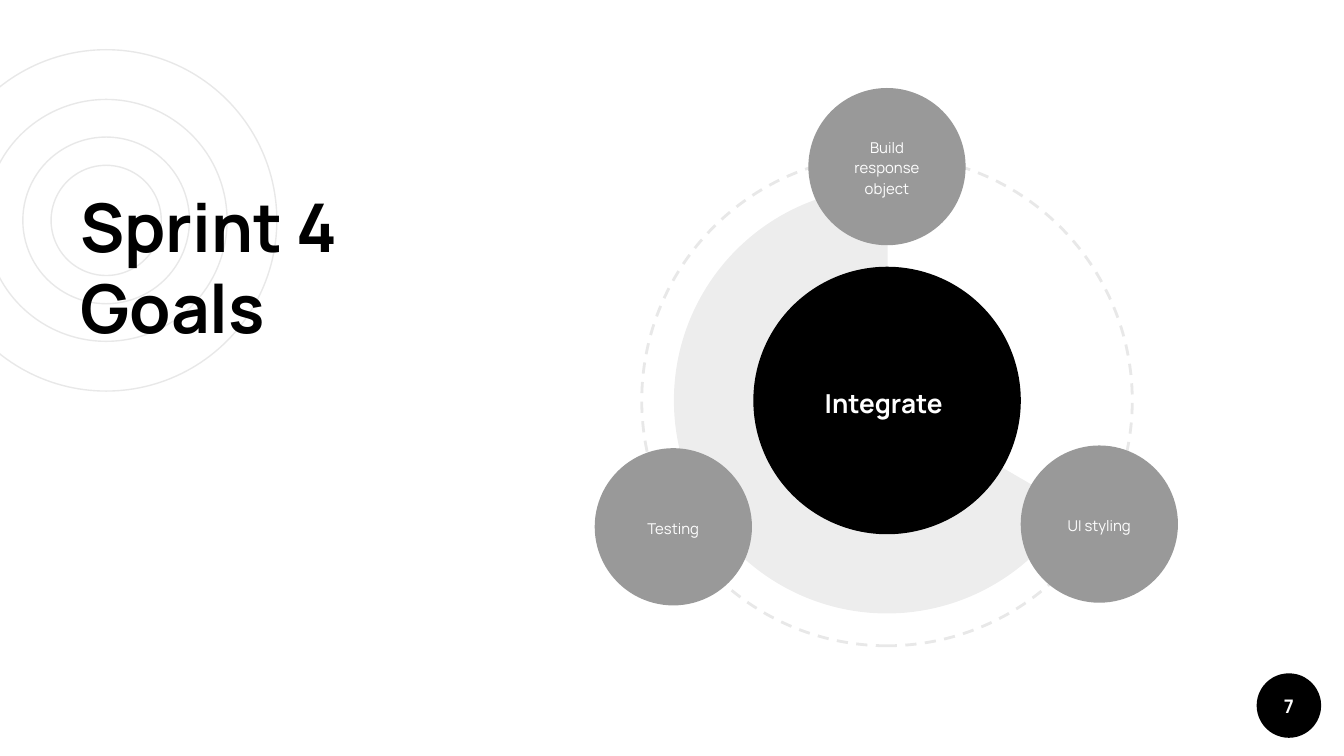
from lxml import etree
from pptx import Presentation
from pptx.dml.color import RGBColor
from pptx.enum.dml import MSO_LINE
from pptx.enum.shapes import MSO_SHAPE
from pptx.enum.text import MSO_ANCHOR, PP_ALIGN
from pptx.oxml.ns import qn
from pptx.util import Inches, Pt

BLACK = RGBColor(0x00, 0x00, 0x00)
WHITE = RGBColor(0xFF, 0xFF, 0xFF)
GRAY = RGBColor(0x99, 0x99, 0x99)
LIGHT = RGBColor(0xE8, 0xE8, 0xE8)

prs = Presentation()
prs.slide_width = Inches(10)
prs.slide_height = Inches(10 * 9 / 16)
s = prs.slides.add_slide(prs.slide_layouts[6])


def add_round(cx, cy, size, fill=None, line_width=None, kind=MSO_SHAPE.OVAL):
    """Add a round shape by its centre and diameter, in inches."""
    sp = s.shapes.add_shape(kind, Inches(cx - size / 2), Inches(cy - size / 2),
                            Inches(size), Inches(size))
    sp.shadow.inherit = False
    if fill is None:
        sp.fill.background()
    else:
        sp.fill.solid()
        sp.fill.fore_color.rgb = fill
    if line_width is None:
        sp.line.fill.background()
    else:
        sp.line.color.rgb = LIGHT
        sp.line.width = Pt(line_width)
    return sp


def add_text(text, left, top, width, height, size, color=WHITE, bold=False,
             align=PP_ALIGN.CENTER, anchor=MSO_ANCHOR.MIDDLE, spacing=1.0):
    tf = s.shapes.add_textbox(Inches(left), Inches(top), Inches(width),
                              Inches(height)).text_frame
    tf.word_wrap = True
    tf.vertical_anchor = anchor
    tf.margin_left = tf.margin_right = Inches(0.1)
    tf.margin_top = tf.margin_bottom = Inches(0.1)
    p = tf.paragraphs[0]
    p.alignment = align
    p.line_spacing = spacing
    r = p.add_run()
    r.text = text
    r.font.name = "Manrope"
    r.font.size = Pt(size)
    r.font.bold = bold
    r.font.color.rgb = color


# Concentric rings behind the title
for size in (2.54, 1.8, 1.24, 0.82):
    add_round(0.79, 1.64, size, line_width=0.75)

add_text("Sprint 4 Goals", 0.5, 1.28, 3.28, 3.22, 36, BLACK, True,
         PP_ALIGN.LEFT, MSO_ANCHOR.TOP)

# Page number
add_round(9.59, 5.25, 0.48, BLACK)
add_text("7", 9.35, 5.01, 0.48, 0.48, 10, bold=True)

# Dashed orbit and translucent sector around the hub
HUB_X, HUB_Y = 6.6, 2.98
orbit = add_round(HUB_X, HUB_Y, 3.65, line_width=1.5)
orbit.line.dash_style = MSO_LINE.DASH
orbit.rotation = 270

sector = add_round(HUB_X, HUB_Y, 3.17, BLACK, kind=MSO_SHAPE.PIE)
for i, degrees in enumerate((30.2, 270.25)):
    sector.adjustments[i] = degrees * 0.6  # 60000 units per degree, scaled by 100000
color = sector.fill._xPr.find(qn("a:solidFill"))[0]
etree.SubElement(color, qn("a:alpha"), val="7000")

add_round(HUB_X, HUB_Y, 1.99, BLACK)
add_text("Integrate", 5.84, 2.53, 1.47, 0.9, 14, bold=True, spacing=1.15)

# Goals on the orbit
LABEL_W, LABEL_H = 0.83, 0.8
for label, cx, cy in (("Build response object", 6.6, 1.24),
                      ("Testing", 5.01, 3.92),
                      ("UI styling", 8.18, 3.9)):
    add_round(cx, cy, 1.17, GRAY)
    add_text(label, cx - LABEL_W / 2, cy - LABEL_H / 2, LABEL_W, LABEL_H, 8,
             spacing=1.15)

prs.save("out.pptx")
